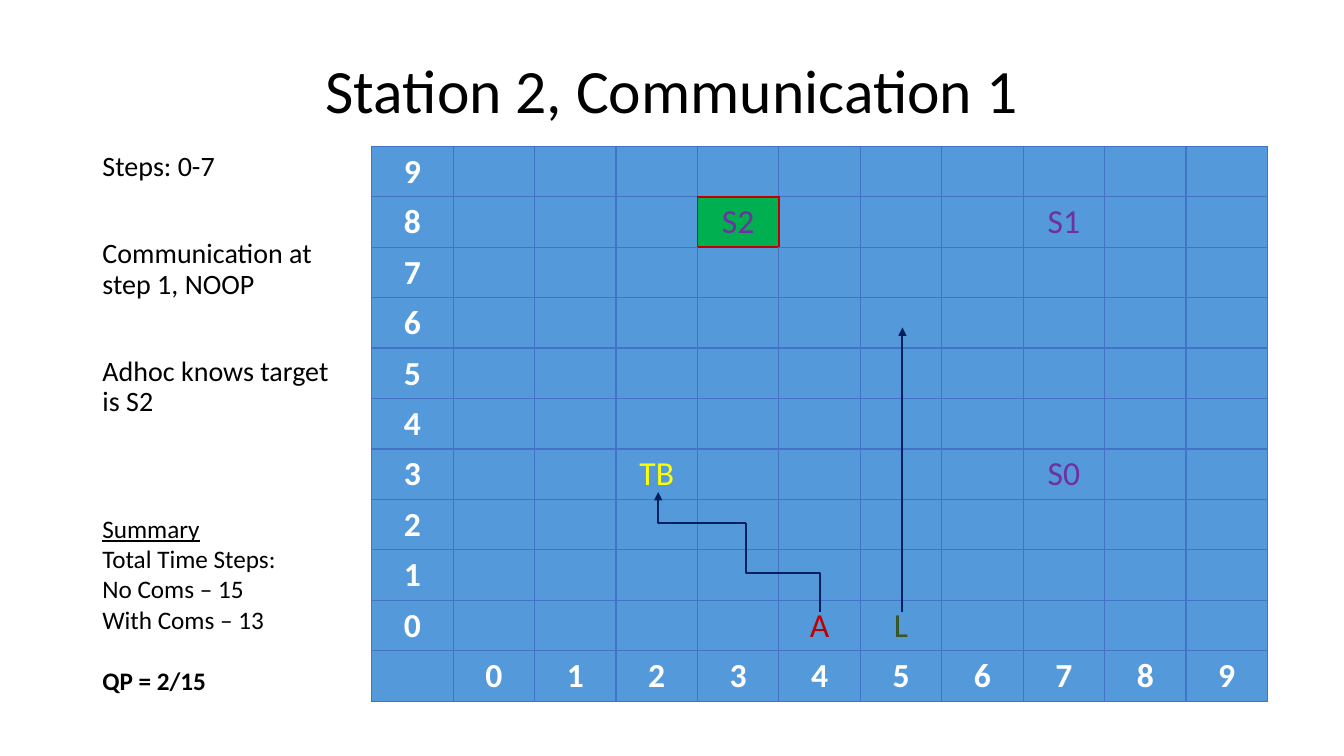
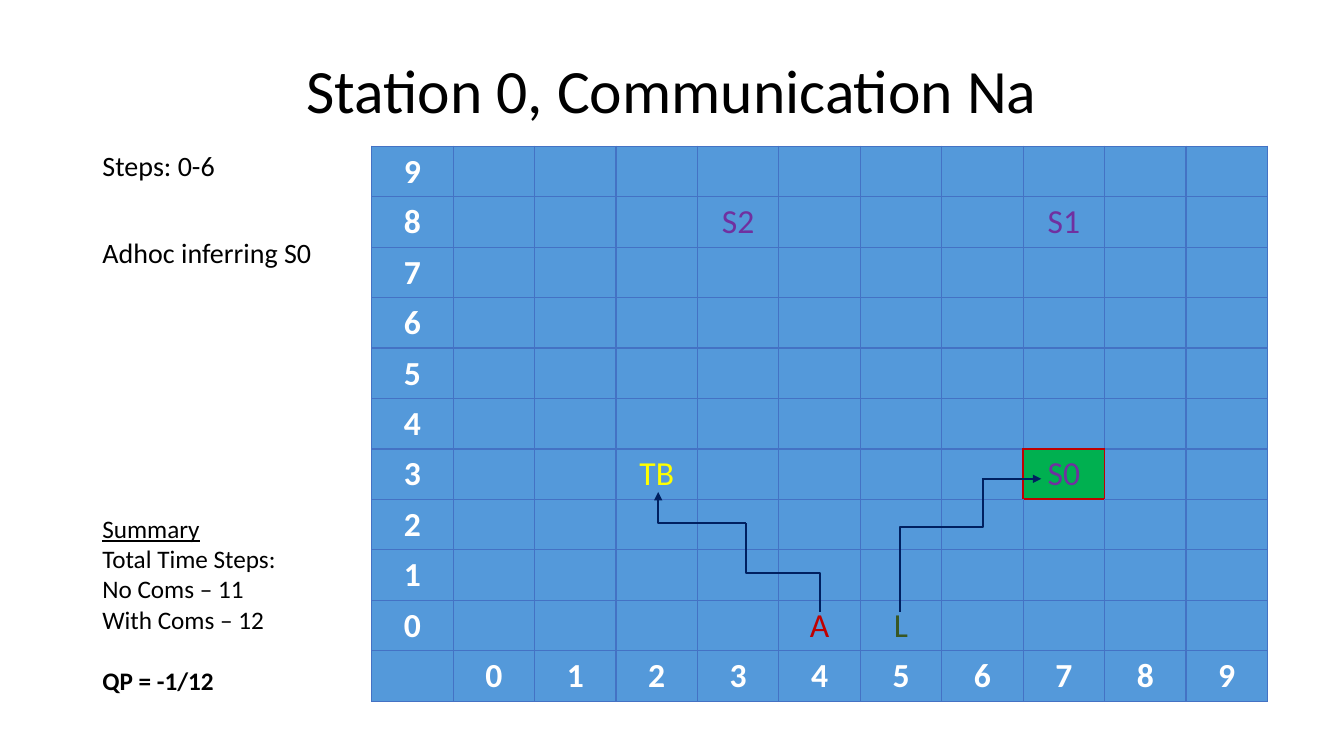
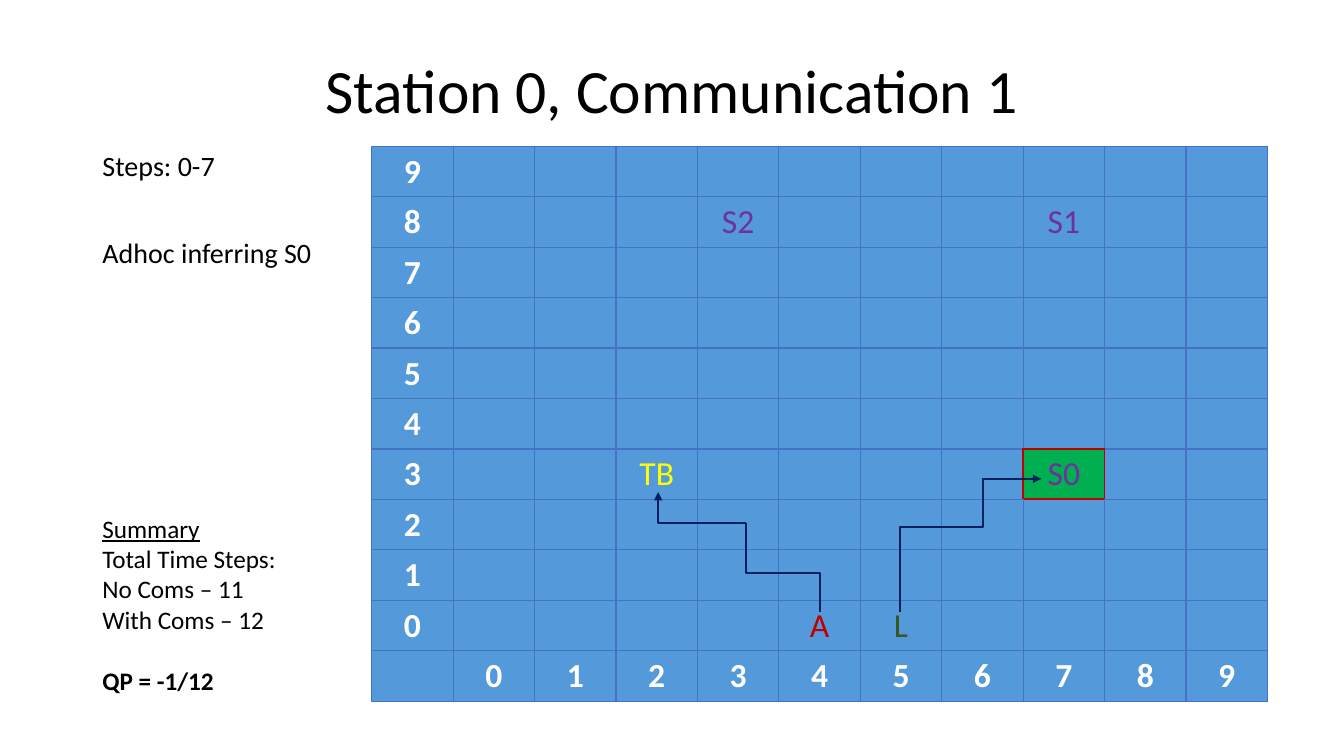
from lxml import etree
from pptx import Presentation
from pptx.dml.color import RGBColor
from pptx.enum.shapes import MSO_CONNECTOR as LINK
from pptx.enum.text import MSO_ANCHOR as ANCHOR, MSO_AUTO_SIZE as FIT, PP_ALIGN as ALIGN
from pptx.oxml import parse_xml
from pptx.oxml.ns import nsdecls, qn
from pptx.util import Pt

# Shared look
FONT = "Calibri"
BLACK = RGBColor(0x00, 0x00, 0x00)
WHITE = RGBColor(0xFF, 0xFF, 0xFF)
CELL_BLUE = RGBColor(0x54, 0x99, 0xDA)
GRID_BLUE = RGBColor(0x44, 0x72, 0xC4)
NAVY = RGBColor(0x00, 0x20, 0x60)
GREEN = RGBColor(0x00, 0xB0, 0x50)
DARK_GREEN = RGBColor(0x38, 0x57, 0x23)
RED = RGBColor(0xC0, 0x00, 0x00)
PURPLE = RGBColor(0x70, 0x30, 0xA0)
YELLOW = RGBColor(0xFF, 0xFF, 0x00)

TITLE = dict(size=Pt(44))
NOTE = dict(size=Pt(20))
PLAIN = dict(size=Pt(18))
HEADING = dict(size=Pt(18), underline=True)
RESULT = dict(size=Pt(18), bold=True)
AXIS = dict(size=Pt(24), bold=True)
MARK = dict(size=Pt(24), bold=False)

# Grid world: (column, row) coordinates, counted from the bottom left
COUNT = 10
COL_WIDTH, ROW_HEIGHT = 58.19, 36
MARKS = {(3, 8): ("S2", PURPLE), (7, 8): ("S1", PURPLE), (7, 3): ("S0", PURPLE),
         (2, 3): ("TB", YELLOW), (4, 0): ("A", RED), (5, 0): ("L", DARK_GREEN)}
SIDES = {"lnL": (-1, 0), "lnR": (1, 0), "lnT": (0, 1), "lnB": (0, -1)}

# Routes: start, end, direction, bend, arrowhead
ADHOC_ROUTE = [((585.4, 437), (532.8, 373.7), "vertical", 0.435, False),
               ((532.8, 373.7), (470.2, 351.4), "horizontal", 1, True)]
ROUTE_TO_S2 = [((644.6, 437), (644.6, 234), "straight", 0, True)]
ROUTE_TO_S0 = [((643, 437), (702, 341.6), "vertical", 0.637, False),
               ((701.3, 342), (743.8, 342), "straight", 0, True)]

PAGES = [
    dict(title="Station 2, Communication 1", goal=(3, 8), leader=ROUTE_TO_S2,
         notes=["Steps: 0-7", "Communication at step 1, NOOP", "Adhoc knows target is S2"],
         steps=(15, 13), score="2/15"),
    dict(title="Station 0, Communication Na", goal=(7, 3), leader=ROUTE_TO_S0,
         notes=["Steps: 0-6", "Adhoc inferring S0"], steps=(11, 12), score="-1/12"),
    dict(title="Station 0, Communication 1", goal=(7, 3), leader=ROUTE_TO_S0,
         notes=["Steps: 0-7", "Adhoc inferring S0"], steps=(11, 12), score="-1/12"),
]


def write(para, text, style, color=BLACK):
    span = para.add_run()
    span.text = text
    span.font.name = FONT
    span.font.color.rgb = color
    for name, value in style.items():
        setattr(span.font, name, value)


def draw_leg(page, start, end, direction, bend, arrow):
    (x1, y1), (x2, y2) = start, end
    if direction == "vertical":
        # An upward elbow is a sideways one turned by 270 degrees
        width, height = abs(y2 - y1), abs(x2 - x1)
        left, top = (x1 + x2 - width) / 2, (y1 + y2 - height) / 2
        corners = [left, top, left + width, top + height]
        if x2 < x1:
            corners = [left, top + height, left + width, top]
    else:
        corners = [x1, y1, x2, y2]
    kind = LINK.STRAIGHT if direction == "straight" else LINK.ELBOW
    leg = page.shapes.add_connector(kind, *[Pt(value) for value in corners])
    leg.line.color.rgb = NAVY
    leg.line.width = Pt(1.5)
    props = leg._element.spPr
    if direction == "vertical":
        props.find(qn("a:xfrm")).set("rot", str(270 * 60000))
    if kind == LINK.ELBOW:
        guides = props.find(qn("a:prstGeom")).find(qn("a:avLst"))
        etree.SubElement(guides, qn("a:gd"), name="adj1", fmla=f"val {round(bend * 100000)}")
    if arrow:
        etree.SubElement(props.find(qn("a:ln")), qn("a:tailEnd"), type="triangle")
    etree.SubElement(props, qn("a:effectLst"))


deck = Presentation()
deck.slide_width, deck.slide_height = Pt(960), Pt(540)

# Placeholder places, set once in the layout
layout = deck.slide_layouts[1]
PLACES = {0: (66, 28.75, 828, 76.3), 1: (66, 105, 186.5, 258)}
for index, place in PLACES.items():
    holder = layout.placeholders[index]
    holder.left, holder.top, holder.width, holder.height = [Pt(value) for value in place]

for content in PAGES:
    page = deck.slides.add_slide(layout)

    # Title
    frame = page.shapes.title.text_frame
    frame.auto_size = FIT.NONE
    frame.vertical_anchor = ANCHOR.MIDDLE
    para = frame.paragraphs[0]
    para.alignment, para.line_spacing = ALIGN.CENTER, 0.9
    write(para, content["title"], TITLE)

    # Notes
    frame = page.placeholders[1].text_frame
    frame.auto_size = FIT.NONE
    for number, note in enumerate(content["notes"]):
        para = frame.add_paragraph() if number else frame.paragraphs[0]
        para.line_spacing = 0.9
        para.space_before = Pt(41 if number else 0)
        bullet = para._p.get_or_add_pPr()
        bullet.set("marL", "0")
        bullet.set("indent", "0")
        etree.SubElement(bullet, qn("a:buNone"))
        write(para, note, NOTE)

    # Summary
    box = page.shapes.add_textbox(Pt(66), Pt(363), Pt(186.5), Pt(138.2))
    frame = box.text_frame
    frame.word_wrap = True
    without, with_coms = content["steps"]
    summary = [("Summary", HEADING), ("Total Time Steps:", PLAIN),
               (f"No Coms – {without}", PLAIN), (f"With Coms – {with_coms}", PLAIN),
               (f"QP = {content['score']}", RESULT)]
    for number, (text, style) in enumerate(summary):
        para = frame.add_paragraph() if number else frame.paragraphs[0]
        para.space_before = Pt(22 if style is RESULT else 0)
        write(para, text, style)

    # Grid
    size = COUNT + 1
    grid = page.shapes.add_table(size, size, Pt(265.5), Pt(104.5),
                                 Pt(COL_WIDTH * size), Pt(ROW_HEIGHT * size)).table
    grid.first_row = grid.horz_banding = False
    for line in range(size):
        grid.columns[line].width = Pt(COL_WIDTH)
        grid.rows[line].height = Pt(ROW_HEIGHT)
    goal = content["goal"]
    for line in range(size):
        for column in range(size):
            cell = grid.cell(line, column)
            x, y = column - 1, COUNT - 1 - line
            # Borders: red wherever the cell touches the goal
            for side, (dx, dy) in SIDES.items():
                red = goal in ((x, y), (x + dx, y + dy))
                color, width = (RED, 1.5) if red else (GRID_BLUE, 1)
                cell._tc.get_or_add_tcPr().append(parse_xml(
                    f'<a:{side} {nsdecls("a")} w="{Pt(width)}"><a:solidFill>'
                    f'<a:srgbClr val="{color}"/></a:solidFill></a:{side}>'))
            cell.fill.solid()
            cell.fill.fore_color.rgb = GREEN if (x, y) == goal else CELL_BLUE
            cell.vertical_anchor = ANCHOR.MIDDLE
            para = cell.text_frame.paragraphs[0]
            para.alignment = ALIGN.CENTER
            if (x, y) in MARKS:
                text, color = MARKS[x, y]
                write(para, text, MARK, color)
            elif (x < 0) != (y < 0):
                write(para, str(max(x, y)), AXIS, WHITE)

    # Routes
    for leg in ADHOC_ROUTE + content["leader"]:
        draw_leg(page, *leg)

deck.save("out.pptx")
